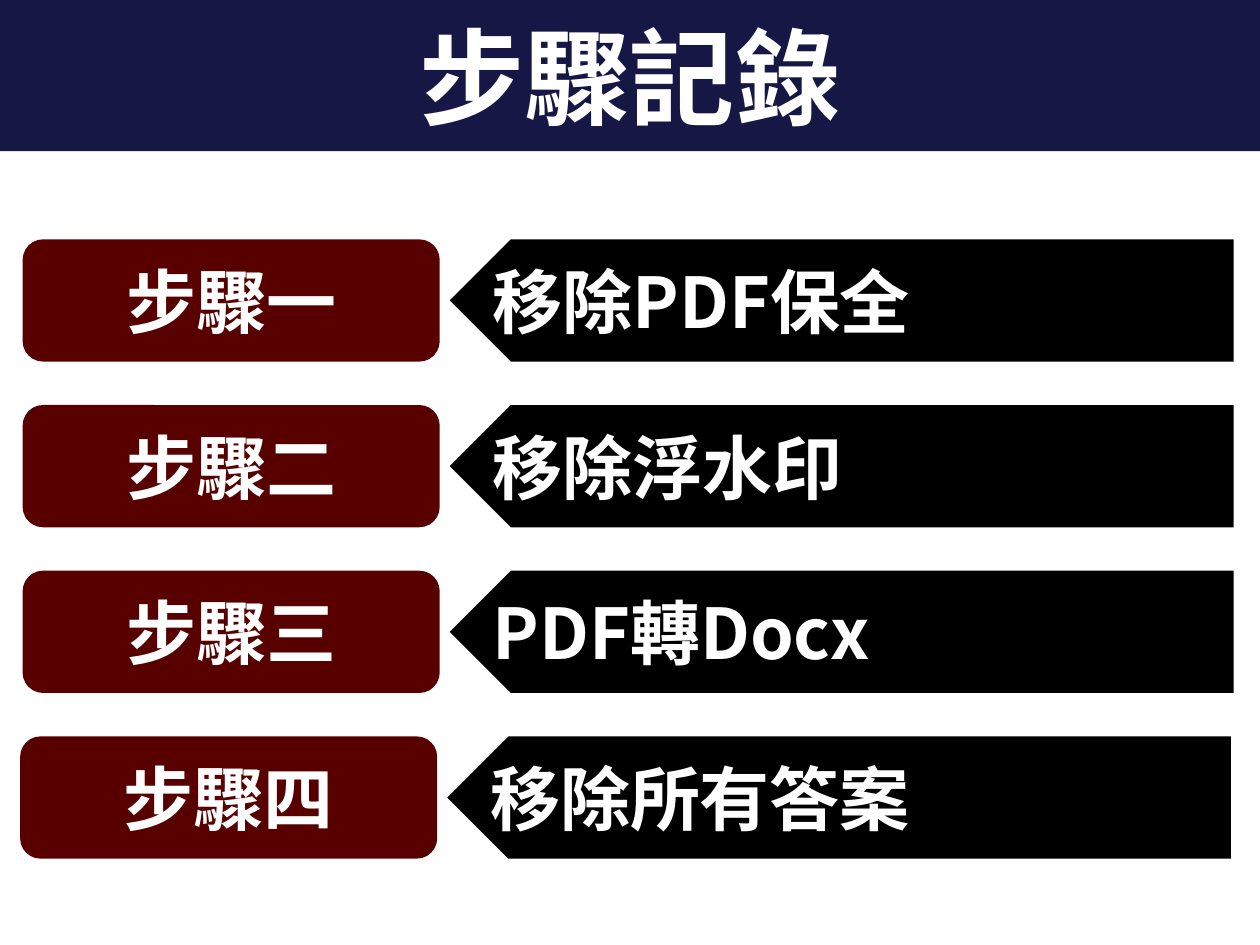
from dataclasses import dataclass

import lxml.etree
import pptx
import pptx.dml.color
import pptx.enum.shapes
import pptx.enum.text
import pptx.oxml.ns
import pptx.util
from pptx.util import Inches

FONT = "Noto Sans CJK SC"
WHITE, NAVY, MAROON, BLACK = "FFFFFF", "171745", "580000", "000000"
TOP, PITCH, ROW_HEIGHT = 1.9, 1.315, 0.97
LABEL_WIDTH, ARROW_WIDTH, GAP = 3.31, 6.22, 0.08
ALIGN = pptx.enum.text.PP_ALIGN
SHAPE = pptx.enum.shapes.MSO_SHAPE


@dataclass
class Step:
    label: str
    action: str
    left: float = 0.18


STEPS = [
    Step("步驟一", "移除PDF保全"),
    Step("步驟二", "移除浮水印"),
    Step("步驟三", "PDF轉Docx"),
    Step("步驟四", "移除所有答案", left=0.16),
]


def paint(fill, color: str) -> None:
    fill.solid()
    fill.fore_color.rgb = pptx.dml.color.RGBColor.from_string(color)


def write(shape, text: str, size: int, align) -> None:
    """Put bold white text, vertically centred, into the shape."""
    frame = shape.text_frame
    frame.text = text
    frame.word_wrap = True
    frame.auto_size = pptx.enum.text.MSO_AUTO_SIZE.NONE
    frame.vertical_anchor = pptx.enum.text.MSO_ANCHOR.MIDDLE
    paragraph = frame.paragraphs[0]
    paragraph.alignment = align
    for run in paragraph.runs:
        run.font.name = FONT
        run.font.size = pptx.util.Pt(size)
        run.font.bold = True
        paint(run.font.fill, WHITE)
        east_asian = lxml.etree.Element(pptx.oxml.ns.qn("a:ea"), typeface=FONT)
        run.font._element.find(pptx.oxml.ns.qn("a:latin")).addnext(east_asian)


def add_box(shapes, preset, left: float, top: float, width: float,
            color: str, text: str, align):
    box = shapes.add_shape(preset, Inches(left), Inches(top),
                           Inches(width), Inches(ROW_HEIGHT))
    box.shadow.inherit = False
    box.line.fill.background()
    paint(box.fill, color)
    write(box, text, 40, align)
    return box


def add_step(slide, step: Step, top: float) -> None:
    row = slide.shapes.add_group_shape().shapes
    arrow = add_box(row, SHAPE.PENTAGON, step.left + LABEL_WIDTH + GAP, top,
                    ARROW_WIDTH, BLACK, step.action, ALIGN.LEFT)
    arrow._element.spPr.get_or_add_xfrm().set("flipH", "1")
    add_box(row, SHAPE.ROUNDED_RECTANGLE, step.left, top,
            LABEL_WIDTH, MAROON, step.label, ALIGN.CENTER)


def main() -> None:
    deck = pptx.Presentation()
    deck.slide_width, deck.slide_height = Inches(10), Inches(7.5)
    slide = deck.slides.add_slide(deck.slide_layouts.get_by_name("Title Only"))

    title = slide.shapes.title
    title.left, title.top = Inches(0), Inches(0)
    title.width, title.height = deck.slide_width, Inches(1.2)
    paint(title.fill, NAVY)
    write(title, "步驟記錄", 60, ALIGN.CENTER)

    for index, step in enumerate(STEPS):
        add_step(slide, step, TOP + index * PITCH)
    deck.save("out.pptx")


if __name__ == "__main__":
    main()
